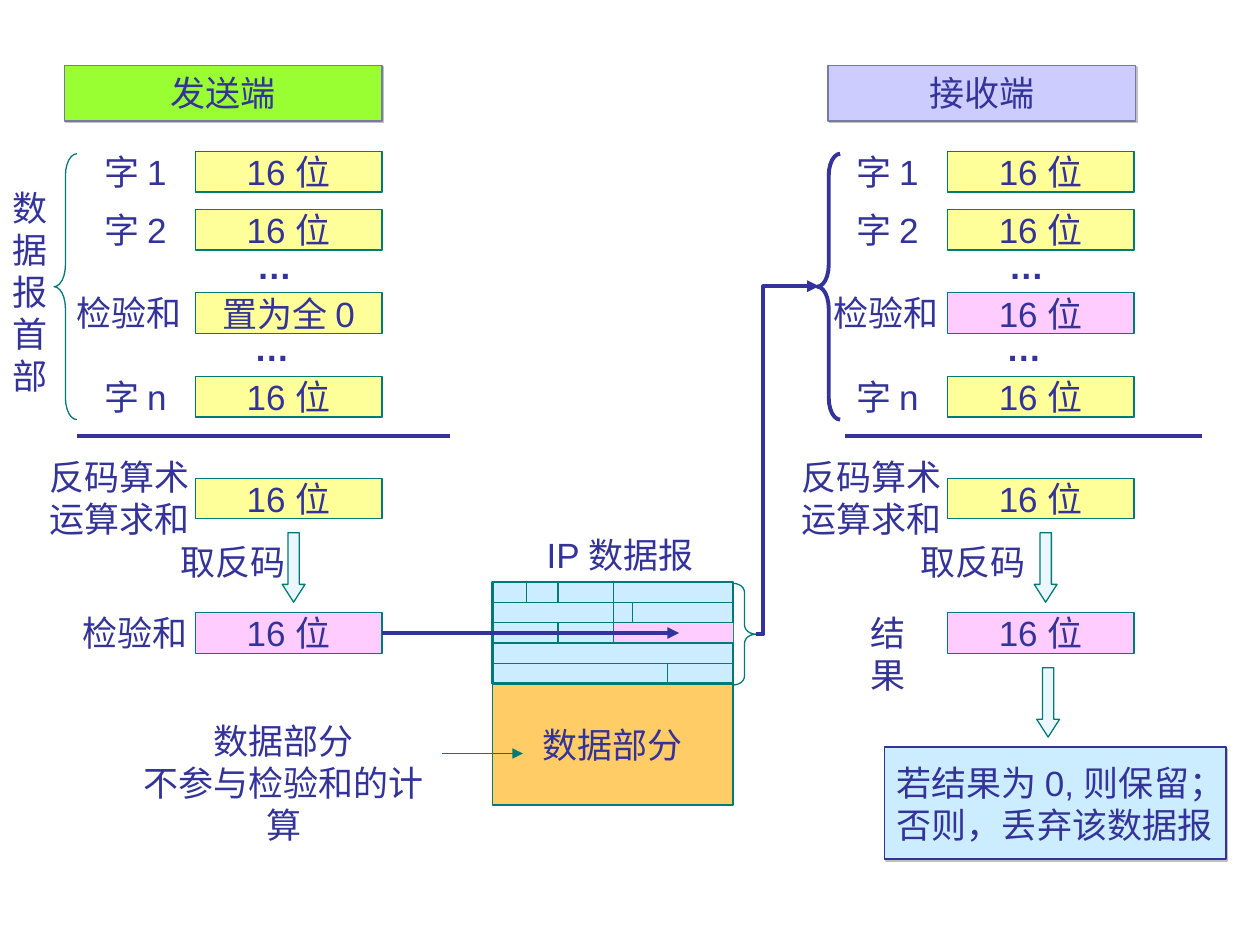
from dataclasses import dataclass

from lxml import etree
from pptx import Presentation
from pptx.dml.color import RGBColor
from pptx.enum.shapes import MSO_CONNECTOR, MSO_SHAPE
from pptx.enum.text import MSO_ANCHOR, PP_ALIGN
from pptx.oxml.ns import qn
from pptx.util import Cm, Pt

STRAIGHT = MSO_CONNECTOR.STRAIGHT
RECT, DOWN_ARROW = MSO_SHAPE.RECTANGLE, MSO_SHAPE.DOWN_ARROW
LEFT_BRACE, RIGHT_BRACE = MSO_SHAPE.LEFT_BRACE, MSO_SHAPE.RIGHT_BRACE
LEFT, CENTER = PP_ALIGN.LEFT, PP_ALIGN.CENTER
TOP, MIDDLE = MSO_ANCHOR.TOP, MSO_ANCHOR.MIDDLE


@dataclass(frozen=True)
class Theme:
    font: str = "Arial"
    size: float = 20
    ink: str = "333399"
    teal: str = "007A77"
    edge: str = "7979A5"
    shadow: str = "C0C0C0"
    green: str = "99FF33"
    lilac: str = "CCCCFF"
    yellow: str = "FFFF99"
    pink: str = "FFCCFF"
    sky: str = "CCECFF"
    pale: str = "EBF7FF"
    orange: str = "FFCC66"
    thin: float = 0.75
    medium: float = 1.5
    thick: float = 2.25


@dataclass(frozen=True)
class Word:
    """One labelled 16-bit word; positions are relative to its side."""
    label: str
    top: float
    label_left: float
    label_width: float
    value: str = "16 位"
    fill: str = Theme.yellow


@dataclass(frozen=True)
class Side:
    title: str
    title_left: float
    title_width: float
    title_fill: str
    shift: float
    brace_color: str
    brace_width: float
    rule: tuple[float, float]
    invert_left: float
    header_sum: Word
    outcome: Word


T = Theme()
CELL_LEFT, CELL_WIDTH, CELL_HEIGHT = 3.94, 3.76, 0.82
LINE_HEIGHT, PADDING = 0.85, 0.27
WORDS = [
    Word("字 1", 3.05, 1.85, 2.13),
    Word("字 2", 4.22, 1.85, 2.13),
    Word("字 n", 7.59, 1.85, 2.13),
    Word("反码算术\n运算求和", 9.64, 0.74, 3.33),
]
SIDES = [
    Side("发送端", 1.3, 6.4, T.green, 0, T.teal, T.thin, (1.55, 9.07), 3.38,
         Word("检验和", 5.9, 1.3, 2.62, value="置为全 0"),
         Word("检验和", 12.35, 1.42, 2.62, fill=T.pink)),
    Side("接收端", 16.69, 6.2, T.lilac, 15.16, T.ink, T.thick, (17.04, 24.23), 18.31,
         Word("检验和", 5.9, 1.4, 2.62, fill=T.pink),
         Word("结果", 12.35, 2.14, 1.9, fill=T.pink)),
]

prs = Presentation()
prs.slide_width, prs.slide_height = Cm(25.4), Cm(19.05)
slide = prs.slides.add_slide(prs.slide_layouts[6])


def set_text(shape, text: str, *, align=LEFT, anchor=TOP, bold: bool = False) -> None:
    frame = shape.text_frame
    frame.word_wrap = False
    frame.vertical_anchor = anchor
    frame.text = text
    for paragraph in frame.paragraphs:
        paragraph.alignment = align
        font = paragraph.font
        font.name, font.size, font.bold = T.font, Pt(T.size), bold
        font.color.rgb = RGBColor.from_string(T.ink)


def add_label(text: str, left: float, top: float, width: float, **text_format) -> None:
    height = LINE_HEIGHT * len(text.split("\n")) + PADDING
    box = slide.shapes.add_textbox(Cm(left), Cm(top), Cm(width), Cm(height))
    set_text(box, text, **text_format)


def style(shape, fill: str | None, line: str | None, width: float) -> None:
    shape.shadow.inherit = False
    if fill:
        shape.fill.solid()
        shape.fill.fore_color.rgb = RGBColor.from_string(fill)
    else:
        shape.fill.background()
    if line:
        shape.line.color.rgb = RGBColor.from_string(line)
        shape.line.width = Pt(width)
    else:
        shape.line.fill.background()


def add_block(kind, left: float, top: float, width: float, height: float, *,
              fill: str | None = None, line: str | None = T.teal, weight: float = T.thin):
    shape = slide.shapes.add_shape(kind, Cm(left), Cm(top), Cm(width), Cm(height))
    style(shape, fill, line, weight)
    return shape


def add_drop_shadow(shape) -> None:
    effects = shape._element.spPr.find(qn("a:effectLst"))
    drop = etree.SubElement(effects, qn("a:outerShdw"), blurRad="0",
                            dist=str(Pt(1.4)), dir="2700000", algn="ctr", rotWithShape="0")
    etree.SubElement(drop, qn("a:srgbClr"), val=T.shadow)


def add_arrowhead(line) -> None:
    etree.SubElement(line.get_or_add_ln(), qn("a:tailEnd"), type="triangle")


def add_line(x1: float, y1: float, x2: float, y2: float, *,
             color: str = T.teal, weight: float = T.thin, arrow: bool = False):
    line = slide.shapes.add_connector(STRAIGHT, Cm(x1), Cm(y1), Cm(x2), Cm(y2))
    line.line.color.rgb = RGBColor.from_string(color)
    line.line.width = Pt(weight)
    if arrow:
        add_arrowhead(line)
    etree.SubElement(line._element.spPr, qn("a:effectLst"))
    return line


def add_down_arrow(left: float, top: float) -> None:
    arrow = add_block(DOWN_ARROW, left, top, 0.46, 1.4, fill=T.pale)
    arrow.adjustments[0], arrow.adjustments[1] = 0.5, 0.78


def add_word(word: Word, shift: float):
    """Draw a word's cell with its label centred on the cell's height."""
    cell = add_block(RECT, CELL_LEFT + shift, word.top, CELL_WIDTH, CELL_HEIGHT, fill=word.fill)
    set_text(cell, word.value, align=CENTER, anchor=MIDDLE)
    label_height = LINE_HEIGHT * len(word.label.split("\n")) + PADDING
    label_top = word.top + (CELL_HEIGHT - label_height) / 2
    add_label(word.label, word.label_left + shift, label_top, word.label_width)
    return cell


def add_side(side: Side):
    """Draw one end of the transfer and return its outcome cell."""
    title = add_block(RECT, side.title_left, 1.32, side.title_width, 1.12,
                      fill=side.title_fill, line=T.edge)
    add_drop_shadow(title)
    set_text(title, side.title, align=CENTER)
    for word in (*WORDS, side.header_sum):
        add_word(word, side.shift)
    for left, top in ((4.93, 4.8), (4.88, 6.45)):
        add_label("…", left + side.shift, top, 1.22, bold=True)
    brace = add_block(LEFT_BRACE, 1.09 + side.shift * 1.015, 3.1, 0.46, 5.36,
                      line=side.brace_color, weight=side.brace_width)
    brace.adjustments[0] = 0.95
    add_line(side.rule[0], 8.79, side.rule[1], 8.79, color=T.ink, weight=T.thick)
    add_down_arrow(5.69 + side.shift, 10.74)
    add_label("取反码", side.invert_left, 10.77, 2.62)
    return add_word(side.outcome, side.shift)


def add_datagram(left: float, top: float, width: float, row: float) -> None:
    right = left + width
    payload = add_block(RECT, left, top + 5 * row, width, 2.45, fill=T.orange)
    set_text(payload, "数据部分", align=CENTER, anchor=MIDDLE)
    add_block(RECT, left, top, width, 5 * row, fill=T.sky, weight=T.medium)
    checksum_left = 12.37
    add_block(RECT, checksum_left, top + 2 * row, right - checksum_left, row,
              fill=T.pink, line=None)
    for index in range(1, 6):
        add_line(left, top + index * row, right, top + index * row)
    field_borders = [(checksum_left, 0, 3), (11.25, 2, 3), (11.25, 0, 1),
                     (10.62, 0, 1), (12.75, 1, 2), (13.46, 4, 5)]
    for x, first, last in field_borders:
        add_line(x, top + first * row, x, top + last * row)
    add_label("IP 数据报", 10.77, 10.64, 3.66)
    brace = add_block(RIGHT_BRACE, right, top + 0.03, 0.46, 5 * row)
    brace.adjustments[0] = 0.4


def add_delivery_path() -> None:
    path = slide.shapes.build_freeform(Cm(15.24), Cm(12.79))
    path.add_line_segments([(Cm(15.39), Cm(12.79)), (Cm(15.39), Cm(5.77)),
                            (Cm(16.51), Cm(5.77))], close=False)
    route = path.convert_to_shape()
    style(route, None, T.ink, T.thick)
    add_arrowhead(route)


add_datagram(9.93, 11.73, 4.85, 0.41)
sent_checksum, _ = [add_side(side) for side in SIDES]
add_label("\n".join("数据报首部"), 0, 3.63, 1.22)
insertion = add_line(7.7, 12.76, 13.69, 12.76, color=T.ink, weight=T.thick, arrow=True)
insertion.begin_connect(sent_checksum, 3)
add_delivery_path()
add_down_arrow(20.9, 13.46)
verdict = add_block(RECT, 17.83, 15.06, 6.88, 2.26, fill=T.sky, line=T.ink, weight=1)
add_drop_shadow(verdict)
set_text(verdict, "若结果为 0, 则保留；\n否则，丢弃该数据报", anchor=MIDDLE)
add_label("数据部分\n不参与检验和的计算", 2.29, 14.38, 6.86, align=CENTER)
add_line(8.92, 15.19, 10.54, 15.19, arrow=True)
prs.save("out.pptx")
